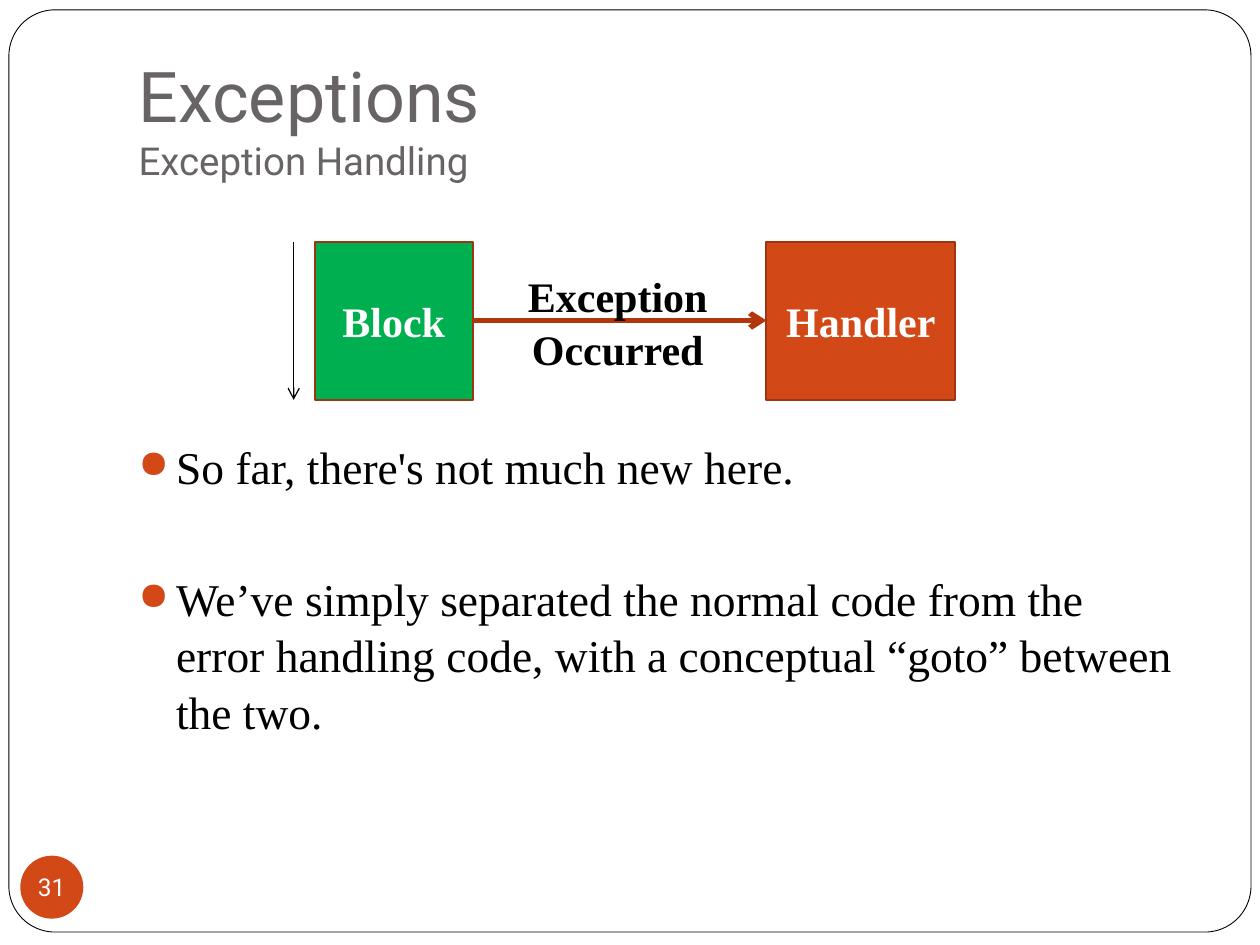
from lxml import etree
from pptx import Presentation
from pptx import util as u
from pptx.dml.color import RGBColor
from pptx.enum import shapes, text
from pptx.oxml.ns import qn

SERIF, SANS = "Times New Roman", "Roboto"
ORANGE, GREEN, RUST = "D34817", "00B050", "9C3511"
BLACK, WHITE, GREY = "000000", "FFFFFF", "696464"


def color(value):
    return RGBColor.from_string(value)


def box(left, top, width, height):
    return [u.Cm(length) for length in (left, top, width, height)]


def add_text(paragraph, content, size=24, font=SERIF, fill=BLACK, bold=False, align=None):
    paragraph.alignment = align
    run = paragraph.add_run()
    run.text = content
    run.font.size = u.Pt(size)
    run.font.name = font
    run.font.bold = bold
    run.font.color.rgb = color(fill)


def add_block(slide, kind, place, fill, line=None, width=1):
    shape = slide.shapes.add_shape(kind, *box(*place))
    shape.shadow.inherit = False
    shape.fill.solid()
    shape.fill.fore_color.rgb = color(fill)
    if line:
        shape.line.color.rgb = color(line)
        shape.line.width = u.Pt(width)
    else:
        shape.line.fill.background()
    return shape


def add_label(shape, content, **style):
    frame = shape.text_frame
    frame.vertical_anchor = text.MSO_ANCHOR.MIDDLE
    add_text(frame.paragraphs[0], content, align=text.PP_ALIGN.CENTER, **style)


def add_arrow(slide, start, end, line, width):
    points = [u.Cm(length) for length in (*start, *end)]
    arrow = slide.shapes.add_connector(shapes.MSO_CONNECTOR.STRAIGHT, *points)
    arrow.line.color.rgb = color(line)
    arrow.line.width = u.Pt(width)
    etree.SubElement(arrow.line._get_or_add_ln(), qn("a:tailEnd"), type="arrow")
    etree.SubElement(arrow._element.spPr, qn("a:effectLst"))


def add_bullet(paragraph):
    properties = paragraph._p.get_or_add_pPr()
    properties.set("marL", str(u.Cm(0.76)))
    properties.set("indent", str(u.Cm(-0.76)))
    bullet_color = etree.SubElement(properties, qn("a:buClr"))
    etree.SubElement(bullet_color, qn("a:srgbClr"), val=ORANGE)
    etree.SubElement(properties, qn("a:buSzPct"), val="85000")
    etree.SubElement(properties, qn("a:buChar"), char="●")


def add_title(slide):
    title = slide.shapes.title
    title.left, title.top, title.width, title.height = box(2.54, 0.76, 21.59, 3.18)
    frame = title.text_frame
    frame.vertical_anchor = text.MSO_ANCHOR.BOTTOM
    frame.margin_bottom = u.Cm(0.25)
    paragraph = frame.paragraphs[0]
    add_text(paragraph, "Exceptions", size=40, font=SANS, fill=GREY, align=text.PP_ALIGN.LEFT)
    paragraph.add_line_break()
    add_text(paragraph, "Exception Handling", size=22, font=SANS, fill=GREY,
             align=text.PP_ALIGN.LEFT)


def add_body(slide):
    frame = slide.shapes.add_textbox(*box(2.54, 8.69, 21.59, 8.89)).text_frame
    frame.word_wrap = True
    points = (
        "So far, there's not much new here.",
        "We’ve simply separated the normal code from the error handling code, "
        "with a conceptual “goto” between the two.",
    )
    for index, point in enumerate(points):
        paragraph = frame.add_paragraph() if index else frame.paragraphs[0]
        add_bullet(paragraph)
        if index:
            paragraph.space_before = u.Pt(42.5)
        paragraph.line_spacing = 1.04
        add_text(paragraph, point, size=26)


def add_diagram(slide):
    top, side, middle = 4.88, 3.18, 6.46
    rectangle = shapes.MSO_SHAPE.RECTANGLE
    for name, left, width, fill in (("Block", 6.35, side, GREEN),
                                    ("Handler", 15.45, 3.81, ORANGE)):
        shape = add_block(slide, rectangle, (left, top, width, side), fill, RUST)
        add_label(shape, name, fill=WHITE, bold=True)
    add_arrow(slide, (9.53, middle), (15.45, middle), "B1360B", 3)

    # Caption across the arrow
    frame = slide.shapes.add_textbox(*box(10.36, 5.28, 4.19, 2.31)).text_frame
    frame.word_wrap = False
    for paragraph, word in ((frame.paragraphs[0], "Exception"),
                            (frame.add_paragraph(), "Occurred")):
        paragraph.line_spacing = 1.05
        add_text(paragraph, word, bold=True, align=text.PP_ALIGN.CENTER)

    # Direction of normal execution
    add_arrow(slide, (5.92, top), (5.92, top + side), BLACK, 0.75)


def add_page_number(slide):
    badge = add_block(slide, shapes.MSO_SHAPE.OVAL, (0.41, 17.25, 1.27, 1.27), ORANGE)
    frame = badge.text_frame
    frame.margin_left = frame.margin_right = frame.margin_top = frame.margin_bottom = 0
    frame.word_wrap = False
    add_label(badge, "31", size=14, font=SANS, fill=WHITE)


def main():
    presentation = Presentation()
    presentation.slide_width, presentation.slide_height = u.Cm(25.4), u.Cm(19.05)
    slide = presentation.slides.add_slide(presentation.slide_layouts[5])

    # Rounded page frame, behind the title
    border = add_block(slide, shapes.MSO_SHAPE.ROUNDED_RECTANGLE,
                       (0.18, 0.2, 25.04, 18.59), WHITE, BLACK, 0.5)
    border.adjustments[0] = 0.05
    slide.shapes._spTree.insert(2, border._element)

    add_title(slide)
    add_body(slide)
    add_diagram(slide)
    add_page_number(slide)
    presentation.save("out.pptx")


if __name__ == "__main__":
    main()
